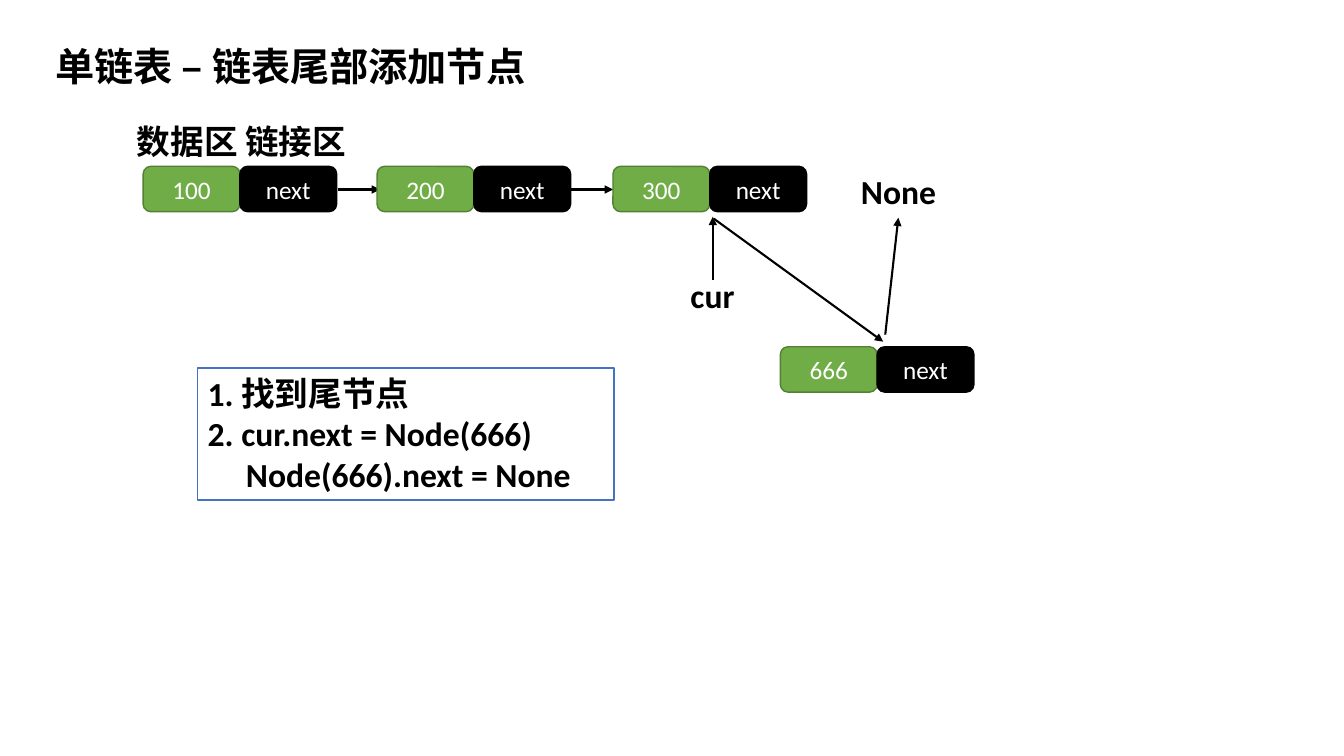
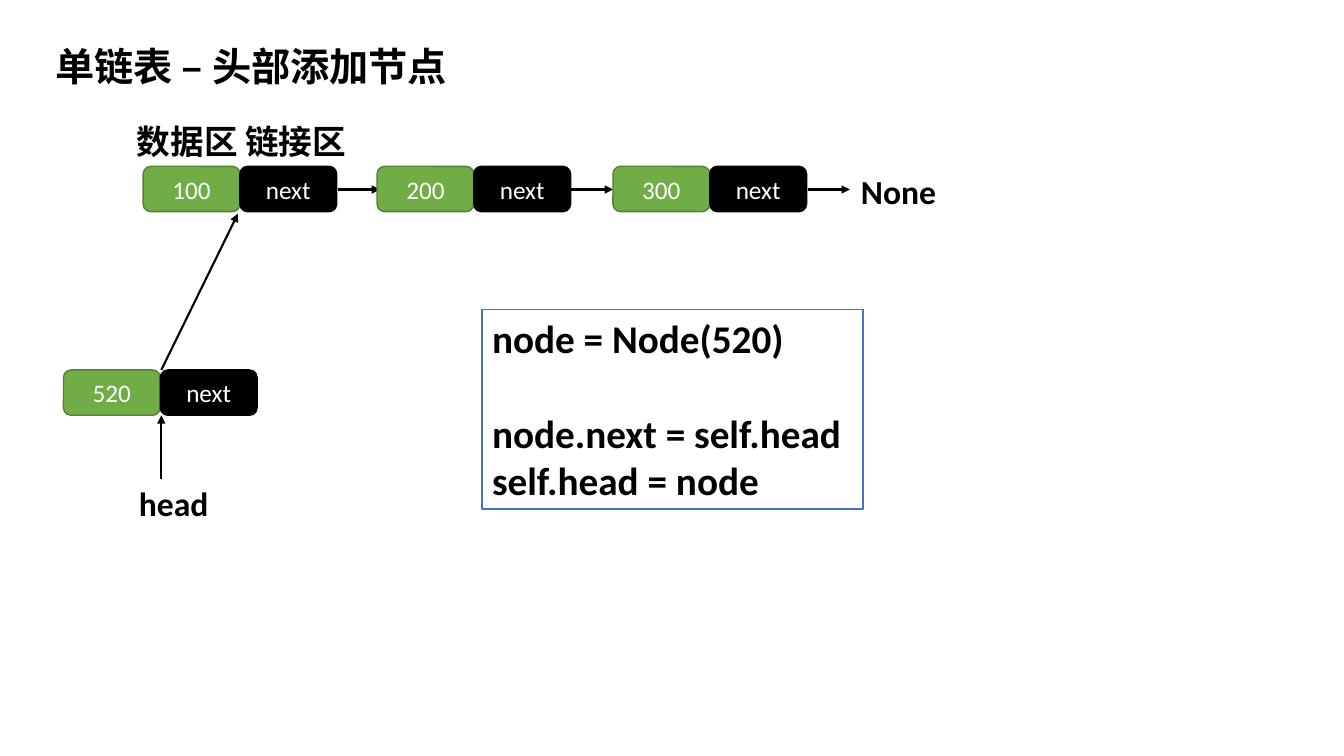
from pptx import Presentation
from pptx.dml.color import RGBColor
from pptx.enum.shapes import MSO_CONNECTOR, MSO_SHAPE
from pptx.enum.text import MSO_ANCHOR, MSO_AUTO_SIZE, PP_ALIGN
from pptx.oxml.xmlchemy import OxmlElement
from pptx.util import Inches, Pt

BLACK = RGBColor(0x00, 0x00, 0x00)
WHITE = RGBColor(0xFF, 0xFF, 0xFF)
GREEN = RGBColor(0x70, 0xAD, 0x47)
DARK_GREEN = RGBColor(0x53, 0x80, 0x35)
BLUE = RGBColor(0x44, 0x72, 0xC4)

CELL_W, CELL_H = 0.96, 0.45
ROW_Y, ARROW_Y = 1.65, 1.88
ROW = [("100", 1.42, ROW_Y), ("200", 3.74, ROW_Y), ("300", 6.08, ROW_Y)]
ROW_ARROWS = [(x, ARROW_Y, x + 0.42, ARROW_Y) for x in (3.35, 5.66)]
ROW_LABELS = [("None", 8.44, 1.65, 0.95), ("数据区 链接区", 1.26, 1.15, 2.27)]
HEADING = {"size": Pt(28), "bold": True}
LABEL = {"size": Pt(24), "bold": True}
CELL = {"size": Pt(18), "bold": False, "color": WHITE, "align": PP_ALIGN.CENTER,
        "anchor": MSO_ANCHOR.MIDDLE}

SLIDES = [
    {
        "title": ("单链表 – 链表尾部添加节点", 5.05),
        "node": ("666", 7.74, 3.44),
        "arrows": [(7.08, 2.17, 8.76, 3.39), (7.07, 2.78, 7.07, 2.15), (8.78, 3.32, 8.91, 2.16)],
        "label": ("cur", 6.75, 2.68, 0.64),
        "box": (1.96, 3.65, 4.13, 1.31),
        "style": LABEL,
        "steps": [("1. 找到尾节点", 0, 0), ("2. cur.next = Node(666)", 0, 0),
                  ("Node(666).next = None", 0.38, 0)],
    },
    {
        "title": ("单链表 – 头部添加节点", 4.23),
        "node": ("520", 0.63, 3.67),
        "arrows": [(8.01, ARROW_Y, 8.43, ARROW_Y), (1.6, 4.75, 1.6, 4.12), (1.6, 3.67, 2.36, 2.12)],
        "label": ("head", 1.28, 4.74, 0.9),
        "box": (4.78, 3.07, 3.78, 1.98),
        "style": HEADING,
        "steps": [("node = Node(520)", 0, 0), ("node.next = self.head", 0, 34),
                  ("self.head = node", 0, 0)],
    },
]


def write(sp, lines, size, bold, color=BLACK, align=PP_ALIGN.LEFT, anchor=MSO_ANCHOR.TOP, wrap=True):
    tf = sp.text_frame
    for name, value in {"auto_size": MSO_AUTO_SIZE.NONE, "word_wrap": wrap,
                        "vertical_anchor": anchor}.items():
        setattr(tf, name, value)
    for i, (text, indent, gap) in enumerate(lines):
        p = tf.add_paragraph() if i else tf.paragraphs[0]
        p.alignment = align
        p.space_before = Pt(gap)
        pPr = p._p.get_or_add_pPr()
        pPr.set("marL", str(Inches(indent)))
        pPr.set("indent", "0")
        pPr.append(OxmlElement("a:buNone"))
        r = p.add_run()
        r.text = text
        for name, value in {"name": "Calibri", "size": size, "bold": bold}.items():
            setattr(r.font, name, value)
        r.font.color.rgb = color


def place(sp, x, y, w, h):
    for name, value in {"left": x, "top": y, "width": w, "height": h}.items():
        setattr(sp, name, Inches(value))


prs = Presentation()
prs.slide_width = Inches(13.33)
prs.slide_height = Inches(7.5)

for content in SLIDES:
    s = prs.slides.add_slide(prs.slide_layouts[1])
    title, width = content["title"]
    place(s.shapes.title, 0.45, 0.37, width, 0.57)
    write(s.shapes.title, [(title, 0, 0)], **HEADING)

    body = s.placeholders[1]
    place(body, *content["box"])
    body.fill.solid()
    body.fill.fore_color.rgb = WHITE
    body.line.color.rgb = BLUE
    body.line.width = Pt(1)
    write(body, content["steps"], **content["style"])

    for ends in ROW_ARROWS + content["arrows"]:
        arrow = s.shapes.add_connector(MSO_CONNECTOR.STRAIGHT, *[Inches(v) for v in ends])
        arrow.line.color.rgb = BLACK
        arrow.line.width = Pt(1.5)
        tail = OxmlElement("a:tailEnd")
        tail.set("type", "triangle")
        arrow.line._get_or_add_ln().append(tail)
        arrow._element.spPr.append(OxmlElement("a:effectLst"))

    for value, x, y in ROW + [content["node"]]:
        cells = [(value, GREEN, DARK_GREEN), ("next", BLACK, BLACK)]
        for i, (text, fill, line) in enumerate(cells):
            sp = s.shapes.add_shape(MSO_SHAPE.ROUNDED_RECTANGLE, Inches(x + i * CELL_W),
                                    Inches(y), Inches(CELL_W), Inches(CELL_H))
            sp.shadow.inherit = False
            sp.fill.solid()
            sp.fill.fore_color.rgb = fill
            sp.line.color.rgb = line
            sp.line.width = Pt(1)
            write(sp, [(text, 0, 0)], **CELL)

    for text, x, y, w in ROW_LABELS + [content["label"]]:
        tb = s.shapes.add_textbox(Inches(x), Inches(y), Inches(w), Inches(0.5))
        write(tb, [(text, 0, 0)], wrap=False, **LABEL)

prs.save("out.pptx")
